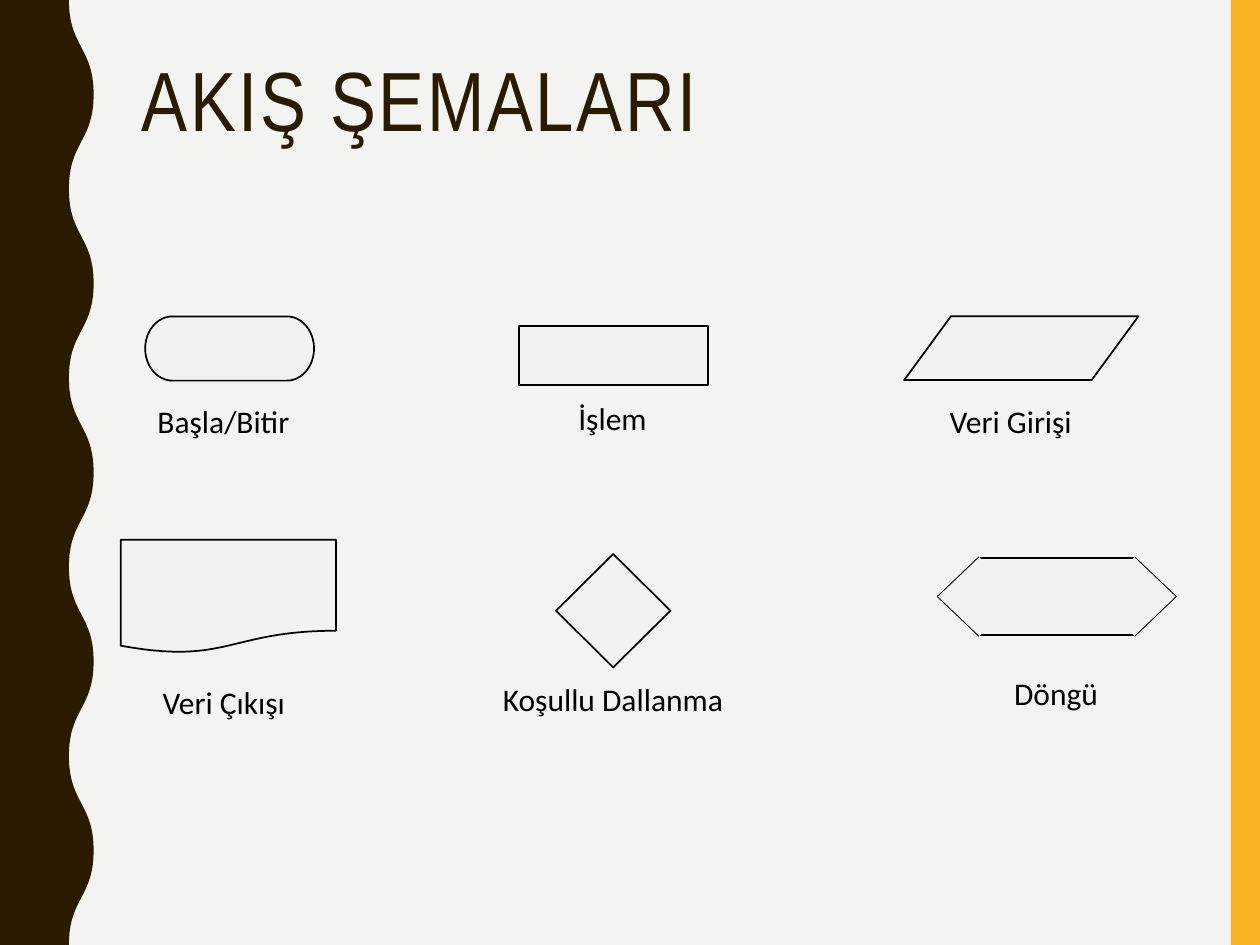
import pptx
import pptx.dml.color
import pptx.enum.shapes
import pptx.enum.text
import pptx.oxml.ns
import pptx.util
from lxml import etree

Pt = pptx.util.Pt
qn = pptx.oxml.ns.qn
Shape = pptx.enum.shapes.MSO_SHAPE
Text = pptx.enum.text

COLORS = {
    "background": "F3F3F2",
    "brown": "2A1A00",
    "gold": "F8B323",
    "symbol": "F2F2F2",
    "ink": "000000",
}
TITLE_FONT = {"name": "Arial Narrow", "size": Pt(48), "bold": False}
LABEL_FONT = {"name": "Calibri", "size": Pt(18)}
TITLE_FRAME = {
    "word_wrap": True,
    "auto_size": Text.MSO_AUTO_SIZE.NONE,
    "vertical_anchor": Text.MSO_ANCHOR.TOP,
}
LABEL_FRAME = {"word_wrap": False, "auto_size": Text.MSO_AUTO_SIZE.SHAPE_TO_FIT_TEXT}
LABEL_HEIGHT = 29

SYMBOLS = [
    (Shape.RECTANGLE, (296.6, 186.5, 108, 33.4)),
    (Shape.FLOWCHART_DATA, (516.7, 180.7, 133.9, 36.5)),
    (Shape.FLOWCHART_DOCUMENT, (69, 308.5, 123, 64.8)),
    (Shape.FLOWCHART_DECISION, (317.7, 316.6, 65.4, 64.8)),
    (Shape.FLOWCHART_TERMINATOR, (83, 180.8, 96.5, 36.7)),
]
LABELS = [
    ("Başla/Bitir", 82.9, 226.1, 90.7),
    ("İşlem", 323.4, 224.6, 54),
    ("Veri Girişi", 535.6, 226.1, 85),
    ("Veri Çıkışı", 85.9, 386.6, 85),
    ("Koşullu Dallanma", 280.3, 385.2, 141.8),
    ("Döngü", 572.4, 381.6, 63.4),
]


def rgb(name):
    return pptx.dml.color.RGBColor.from_string(COLORS[name])


def apply(target, values):
    for name, value in values.items():
        setattr(target, name, value)


def paint(shape, fill, line_width=None):
    shape.shadow.inherit = False
    shape.fill.solid()
    shape.fill.fore_color.rgb = rgb(fill)
    if line_width is None:
        shape.line.fill.background()
    else:
        shape.line.color.rgb = rgb("ink")
        shape.line.width = Pt(line_width)


def add_symbol(page, kind, box, fill="symbol", line_width=1):
    shape = page.shapes.add_shape(kind, *map(Pt, box))
    paint(shape, fill, line_width)


def add_line(page, start, end):
    line = page.shapes.add_connector(
        pptx.enum.shapes.MSO_CONNECTOR.STRAIGHT, *map(Pt, start + end))
    line.line.color.rgb = rgb("ink")
    line.line.width = Pt(0.5)
    etree.SubElement(line._element.spPr, qn("a:effectLst"))


def bend_segment(segment, start):
    end = segment.find(qn("a:pt"))
    middle = (int(start.get("y")) + int(end.get("y"))) // 2
    segment.tag = qn("a:cubicBezTo")
    for index, knot in enumerate((start, end)):
        control = etree.Element(qn("a:pt"), x=knot.get("x"), y=str(middle))
        segment.insert(index, control)


def add_wave(page, box, trough, waves=10):
    left, top, width, height = box
    knots = [(left + (width if index % 2 else trough), top + height * index / waves)
             for index in range(waves + 1)]
    corners = [(left, top + height), (left, top)]
    points = [(Pt(x), Pt(y)) for x, y in knots + corners]
    builder = page.shapes.build_freeform(*points[0], scale=1.0)
    builder.add_line_segments(points[1:], close=True)
    wave = builder.convert_to_shape()
    outline = list(wave._element.iter(qn("a:moveTo"), qn("a:lnTo")))
    starts = [part.find(qn("a:pt")) for part in outline[:waves]]
    for segment, start in zip(outline[1:], starts):
        bend_segment(segment, start)
    paint(wave, "brown")


def add_loop_symbol(page, box):
    left, top, width, height = box
    end_width = 47.6
    right, bottom, middle = left + width, top + height, top + height / 2
    inner_left, inner_right = left + end_width / 2, right - end_width / 2
    add_symbol(page, Shape.RECTANGLE,
               (inner_left, top + 0.5, inner_right - inner_left, height - 1.2))
    for end_left in (left, right - end_width):
        add_symbol(page, Shape.FLOWCHART_DECISION,
                   (end_left, top, end_width, height), line_width=None)
    for tip, corner in ((left, inner_left), (right, inner_right)):
        for corner_y in (top, bottom):
            add_line(page, (tip, middle), (corner, corner_y))


def add_label(page, text, box):
    label = page.shapes.add_textbox(*map(Pt, box))
    apply(label.text_frame, LABEL_FRAME)
    span = label.text_frame.paragraphs[0].add_run()
    span.text = text
    apply(span.font, LABEL_FONT)
    span.font.color.rgb = rgb("ink")


def place_title(page, text, box):
    title = page.shapes.title
    apply(title, dict(zip(("left", "top", "width", "height"), map(Pt, box))))
    apply(title.text_frame, TITLE_FRAME)
    para = title.text_frame.paragraphs[0]
    apply(para, {"alignment": Text.PP_ALIGN.LEFT, "line_spacing": 0.9})
    span = para.add_run()
    span.text = text
    apply(span.font, TITLE_FONT)
    span.font.color.rgb = rgb("brown")
    span.font._element.set("spc", "150")


def build_flowchart_page(deck):
    page = deck.slides.add_slide(deck.slide_layouts[5])
    page.background.fill.solid()
    page.background.fill.fore_color.rgb = rgb("background")
    add_symbol(page, Shape.RECTANGLE, (703.4, 0, 16.6, 540), "gold", None)
    add_wave(page, (0, 0, 53.5, 540), trough=39.4)
    for kind, box in SYMBOLS:
        add_symbol(page, kind, box)
    add_loop_symbol(page, (535.6, 318.2, 136.6, 45.4))
    for text, left, top, width in LABELS:
        add_label(page, text, (left, top, width, LABEL_HEIGHT))
    place_title(page, "AKIŞ ŞEMALARI", (73.8, 30.2, 601.2, 117.4))


def main():
    deck = pptx.Presentation()
    apply(deck, {"slide_width": Pt(720), "slide_height": Pt(540)})
    build_flowchart_page(deck)
    deck.save("out.pptx")


if __name__ == "__main__":
    main()
